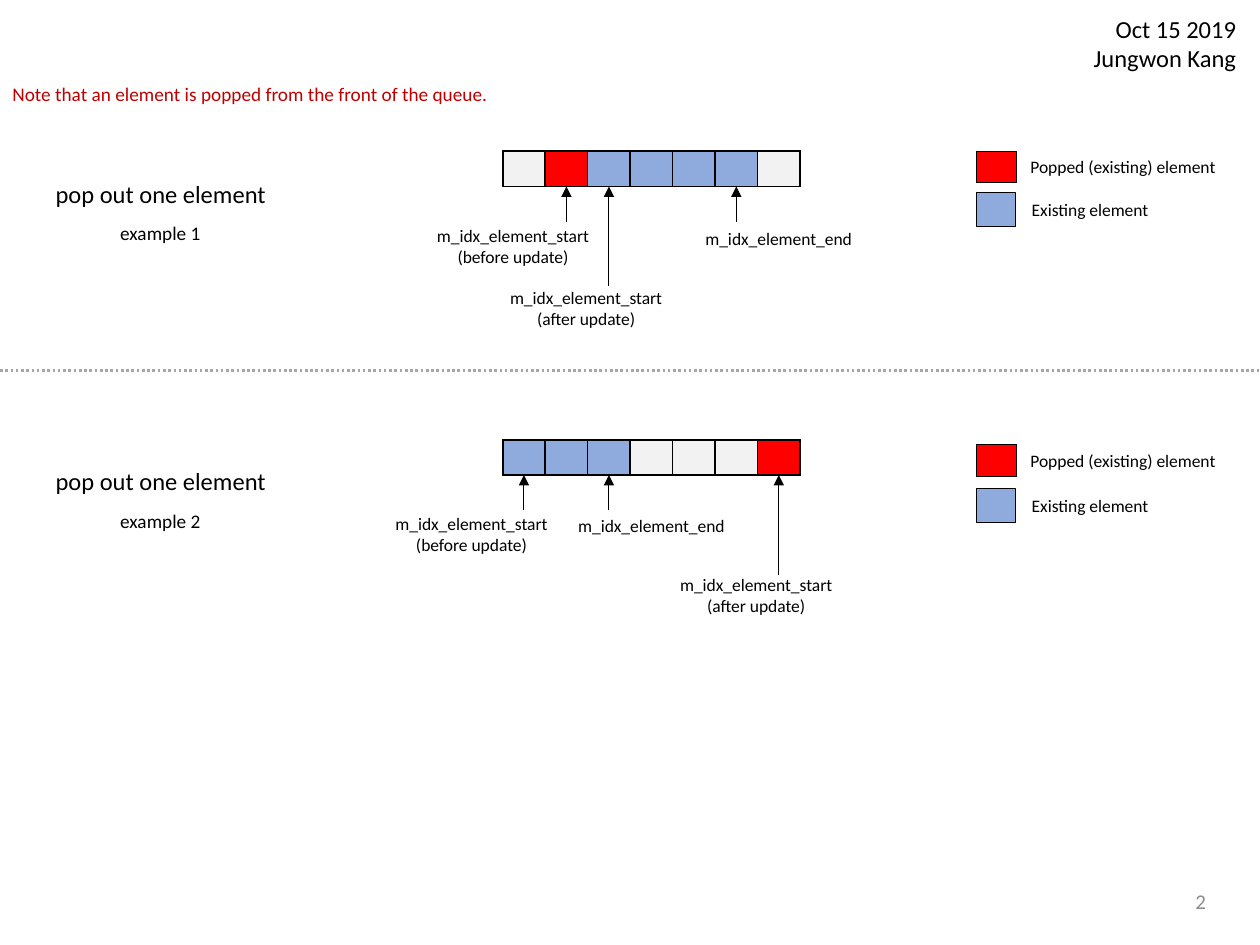
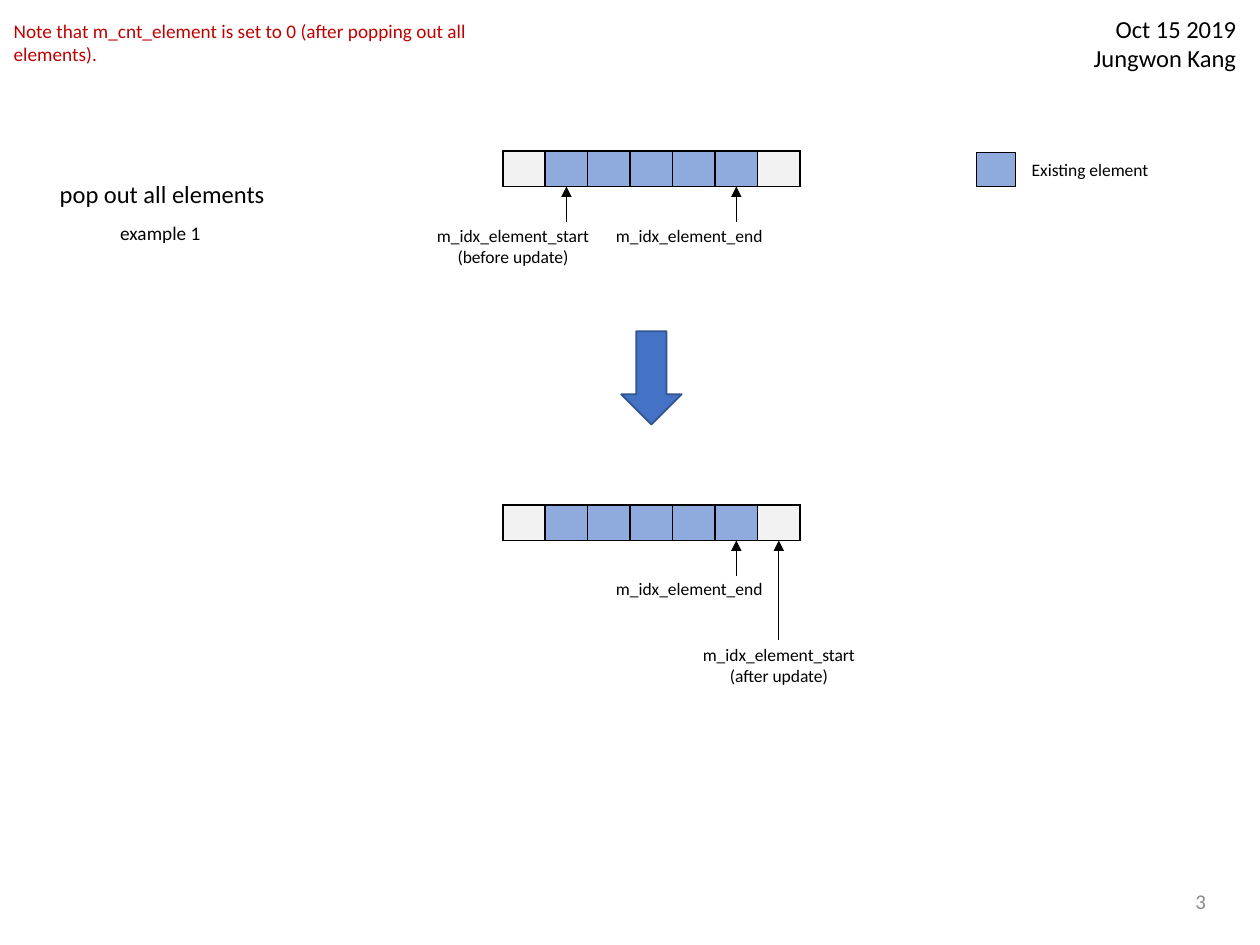
import pptx
import pptx.util
import pptx.dml.color
import pptx.enum.dml
import pptx.enum.shapes
import pptx.enum.text
import pptx.oxml.ns
from lxml import etree

Inches, Pt = pptx.util.Inches, pptx.util.Pt
RGBColor = pptx.dml.color.RGBColor
SHAPE = pptx.enum.shapes.MSO_SHAPE
ALIGN = pptx.enum.text.PP_ALIGN
qn = pptx.oxml.ns.qn

BLACK = RGBColor(0x00, 0x00, 0x00)
RED = RGBColor(0xFF, 0x00, 0x00)
BLUE = RGBColor(0x8F, 0xAA, 0xDC)
PALE = RGBColor(0xF2, 0xF2, 0xF2)
GRAY = RGBColor(0xA6, 0xA6, 0xA6)
NUMBER_GRAY = RGBColor(0x8C, 0x8C, 0x8C)
NOTE_RED = RGBColor(0xC0, 0x00, 0x00)
ARROW_FILL = RGBColor(0x44, 0x72, 0xC4)
ARROW_EDGE = RGBColor(0x32, 0x54, 0x91)

QUEUE_LEFT, QUEUE_WIDTH, QUEUE_HEIGHT = 3.99, 2.36, 0.28
CELL_FILLS = {"-": PALE, "P": RED, "E": BLUE}

# kind: label lines, label width, label height, arrow length
POINTERS = {
    "end": (["m_idx_element_end"], 1.38, 0.27, 0.28),
    "before": (["m_idx_element_start", "(before update)"], 1.43, 0.44, 0.28),
    "after": (["m_idx_element_start", "(after update)"], 1.43, 0.44, 0.79),
}

# kind: label, label left, label width, label rise, swatch width and height, line width
LEGEND = {
    "P": ("Popped (existing) element", 8.08, 1.7, 0.01, 0.32, 0.25, 0.5),
    "E": ("Existing element", 8.09, 1.14, 0, 0.31, 0.27, 0.75),
}

# A queue is its top, its cells, and pointers (kind, cell, label left, label drop).
SLIDES = [
    {
        "number": "2",
        "note": ("Note that an element is popped from the front of the queue.", 0, 0.6, 4),
        "titles": [("pop out one element", 0.32, 1.89, 1.37, "example 1"),
                   ("pop out one element", 0.32, 1.89, 3.65, "example 2")],
        "queues": [
            (1.2, "-PEEEE-", [("end", 5, 5.5, 0.28), ("before", 1, 3.37, 0.26),
                              ("after", 2, 3.95, 0.75)]),
            (3.49, "EEE---P", [("end", 2, 4.49, 0.27), ("before", 0, 3.04, 0.25),
                               ("after", 6, 5.3, 0.74)]),
        ],
        "legend": [("P", 1.2), ("E", 1.53), ("P", 3.53), ("E", 3.88)],
    },
    {
        "number": "3",
        "note": ("Note that m_cnt_element is set to 0 (after popping out all elements).",
                 0.01, 0.1, 4.4),
        "titles": [("pop out all elements", 0.36, 1.84, 1.37, "example 1")],
        "queues": [
            (1.2, "-EEEEE-", [("end", 5, 4.79, 0.26), ("before", 1, 3.37, 0.26)]),
            (4.01, "-EEEEE-", [("end", 5, 4.79, 0.25), ("after", 6, 5.48, 0.77)]),
        ],
        "legend": [("E", 1.21)],
    },
]


def add_text(s, lines, left, top, width, height, size, color=BLACK,
             aligns=(ALIGN.LEFT, ALIGN.CENTER), wrap=False):
    """Add a text box with one paragraph per line and return its text frame."""
    tf = s.shapes.add_textbox(Inches(left), Inches(top), Inches(width), Inches(height)).text_frame
    tf.word_wrap = wrap
    for i, line in enumerate(lines):
        p = tf.paragraphs[0] if i == 0 else tf.add_paragraph()
        p.alignment = aligns[i]
        r = p.add_run()
        r.text = line
        for name, value in {"name": "Calibri", "size": Pt(size)}.items():
            setattr(r.font, name, value)
        r.font.color.rgb = color
    return tf


def add_line(s, x1, y1, x2, y2, color, width):
    """Add a straight connector without shadow and return it."""
    line = s.shapes.add_connector(pptx.enum.shapes.MSO_CONNECTOR.STRAIGHT,
                                  Inches(x1), Inches(y1), Inches(x2), Inches(y2))
    line.line.color.rgb = color
    line.line.width = Pt(width)
    etree.SubElement(line._element.spPr, qn("a:effectLst"))
    return line


prs = pptx.Presentation()
prs.slide_width, prs.slide_height = Inches(10), Inches(7.5)
RIGHT = (ALIGN.RIGHT, ALIGN.RIGHT)

for content in SLIDES:
    s = prs.slides.add_slide(prs.slide_layouts[6])

    # Page number, date and author, note
    tf = add_text(s, [content["number"]], 7.42, 6.95, 2.25, 0.4, 12, NUMBER_GRAY, RIGHT, True)
    tf.vertical_anchor = pptx.enum.text.MSO_ANCHOR.MIDDLE
    add_text(s, ["Oct 15 2019", "Jungwon Kang"], 8.57, 0.06, 1.34, 0.57, 14, aligns=RIGHT)
    note, left, top, width = content["note"]
    add_text(s, [note], left, top, width, 0.29, 11, NOTE_RED, wrap=True)

    for title, left, width, top, example in content["titles"]:
        add_text(s, [title], left, top, width, 0.34, 14, aligns=RIGHT)
        add_text(s, [example], 0.84, top + 0.34, 0.85, 0.29, 11, aligns=RIGHT)

    for top, cells, pointers in content["queues"]:
        cell_width = QUEUE_WIDTH / len(cells)
        table = s.shapes.add_table(1, len(cells), Inches(QUEUE_LEFT), Inches(top),
                                   Inches(QUEUE_WIDTH), Inches(QUEUE_HEIGHT)).table
        table.first_row = table.horz_banding = False
        for i, kind in enumerate(cells):
            table.columns[i].width = Inches(cell_width)
            cell = table.cell(0, i)
            cell.margin_top = cell.margin_bottom = 0
            # A small end mark keeps the empty row from growing
            etree.SubElement(cell.text_frame.paragraphs[0]._p, qn("a:endParaRPr"), sz="800")
            tcPr = cell._tc.get_or_add_tcPr()
            for side in ("lnL", "lnR", "lnT", "lnB"):
                border = etree.SubElement(tcPr, qn("a:" + side), w=str(Pt(1)))
                fill = etree.SubElement(border, qn("a:solidFill"))
                etree.SubElement(fill, qn("a:srgbClr"), val=str(BLACK))
            cell.fill.solid()
            cell.fill.fore_color.rgb = CELL_FILLS[kind]

        bottom = top + QUEUE_HEIGHT
        for kind, index, left, drop in pointers:
            lines, width, height, length = POINTERS[kind]
            x = QUEUE_LEFT + (index + 0.5) * cell_width
            arrow = add_line(s, x, bottom + length, x, bottom, BLACK, 0.5)
            etree.SubElement(arrow.line._get_or_add_ln(), qn("a:tailEnd"), type="triangle")
            add_text(s, lines, left, bottom + drop, width, height, 10)

    for kind, top in content["legend"]:
        label, left, width, rise, swatch_width, swatch_height, line_width = LEGEND[kind]
        sp = s.shapes.add_shape(SHAPE.RECTANGLE, Inches(7.75), Inches(top),
                                Inches(swatch_width), Inches(swatch_height))
        sp.shadow.inherit = False
        sp.fill.solid()
        sp.fill.fore_color.rgb = CELL_FILLS[kind]
        sp.line.color.rgb = BLACK
        sp.line.width = Pt(line_width)
        add_text(s, [label], left, top - rise, width, 0.27, 10)

# Divider between the two examples
divider = add_line(prs.slides[0], 0, 2.94, 10, 2.94, GRAY, 1.5)
divider.line.dash_style = pptx.enum.dml.MSO_LINE.ROUND_DOT

# Block arrow from the first queue state to the next
sp = prs.slides[1].shapes.add_shape(SHAPE.DOWN_ARROW, Inches(4.93), Inches(2.63),
                                    Inches(0.48), Inches(0.74))
sp.shadow.inherit = False
sp.fill.solid()
sp.fill.fore_color.rgb = ARROW_FILL
sp.line.color.rgb = ARROW_EDGE
sp.line.width = Pt(1)

prs.save("out.pptx")
